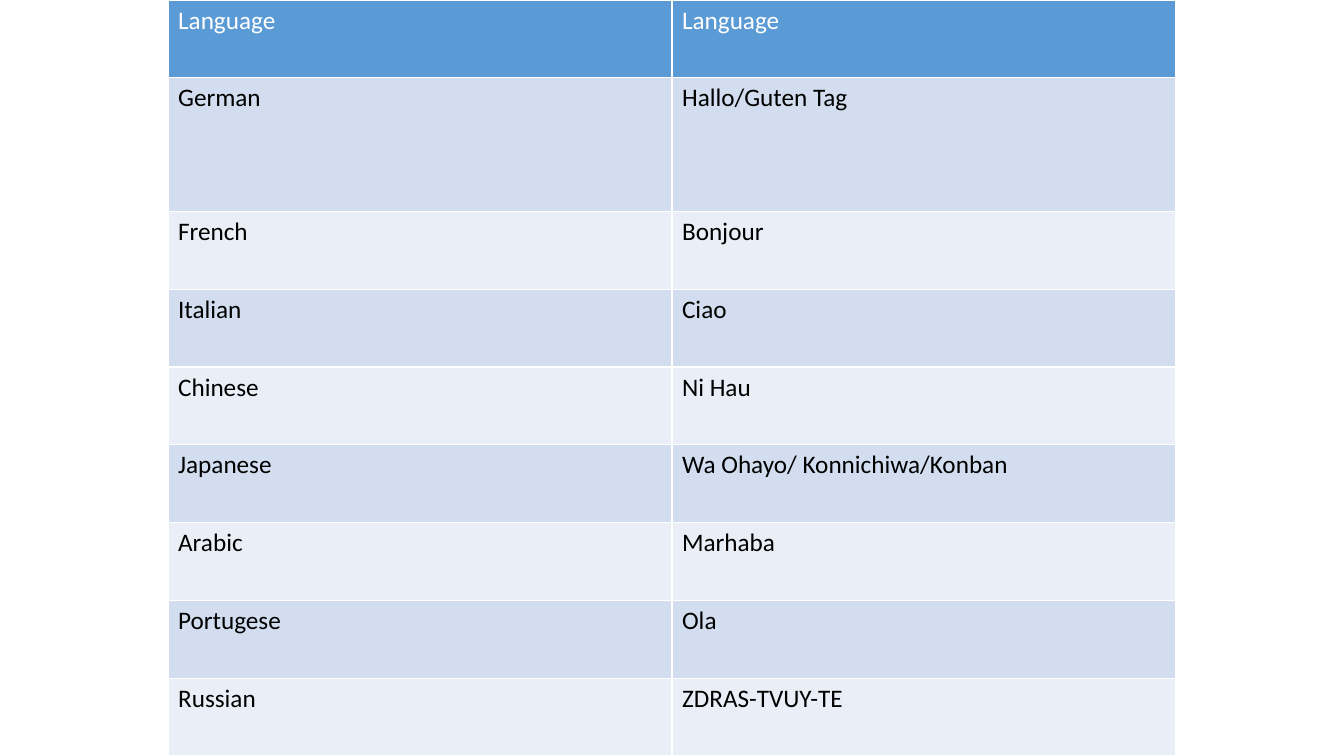
from pptx import Presentation
from pptx.dml.color import RGBColor
from pptx.util import Cm, Pt

SLIDE_WIDTH, SLIDE_HEIGHT = Cm(33.87), Cm(19.05)
TABLE_WIDTH = Cm(25.4)
ROW_HEIGHT = Cm(1.96)

GREETINGS = [
    ("Language", "Language"),
    ("German", "Hallo/Guten Tag"),
    ("French", "Bonjour"),
    ("Italian", "Ciao"),
    ("Chinese", "Ni Hau"),
    ("Japanese", "Wa Ohayo/ Konnichiwa/Konban"),
    ("Arabic", "Marhaba"),
    ("Portugese", "Ola"),
    ("Russian", "ZDRAS-TVUY-TE"),
]


def color(hex_code):
    return RGBColor.from_string(hex_code)


prs = Presentation()
prs.slide_width, prs.slide_height = SLIDE_WIDTH, SLIDE_HEIGHT
slide = prs.slides.add_slide(prs.slide_layouts[6])

greetings = slide.shapes.add_table(
    len(GREETINGS), 2, (SLIDE_WIDTH - TABLE_WIDTH) // 2, 0, TABLE_WIDTH, SLIDE_HEIGHT
).table

for row in greetings.rows:
    row.height = ROW_HEIGHT
greetings.rows[1].height = SLIDE_HEIGHT - ROW_HEIGHT * (len(GREETINGS) - 1)

for r, entries in enumerate(GREETINGS):
    if r == 0:
        fill, ink = "5B9BD5", "FFFFFF"
    else:
        fill, ink = "D2DEEF" if r % 2 else "EAEFF7", "000000"
    for c, entry in enumerate(entries):
        cell = greetings.cell(r, c)
        cell.fill.solid()
        cell.fill.fore_color.rgb = color(fill)
        run = cell.text_frame.paragraphs[0].add_run()
        run.text = entry
        run.font.name = "Calibri"
        run.font.size = Pt(18)
        run.font.bold = False
        run.font.color.rgb = color(ink)

prs.save("out.pptx")
